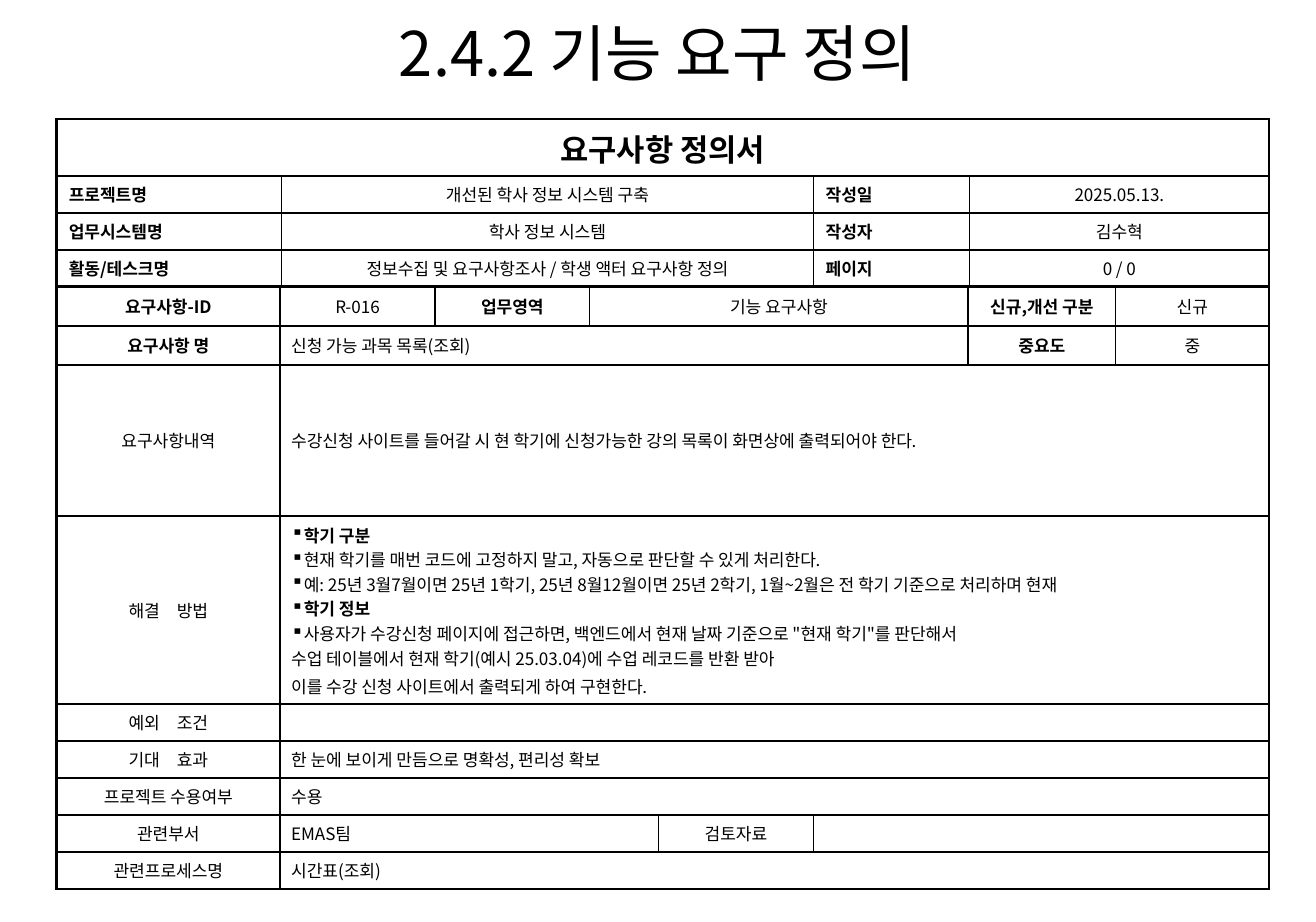
import dataclasses

import lxml.etree
import pptx
import pptx.dml.color
import pptx.enum.text
import pptx.oxml.ns
import pptx.util

Inches = pptx.util.Inches
Pt = pptx.util.Pt
qn = pptx.oxml.ns.qn
ALIGN = pptx.enum.text.PP_ALIGN
ANCHOR = pptx.enum.text.MSO_ANCHOR


@dataclasses.dataclass(frozen=True)
class Theme:
    font: str = "Noto Sans CJK KR"
    ink: str = "000000"
    title: int = 36
    heading: int = 18
    body: int = 10
    thin: float = 1
    thick: float = 1.5


THEME = Theme()
STYLES = {
    "heading": dict(align=ALIGN.CENTER, bold=True, size=THEME.heading),
    "label": dict(align=ALIGN.JUSTIFY, bold=True),
    "key": dict(align=ALIGN.CENTER, bold=True),
    "value": dict(align=ALIGN.CENTER),
    "text": dict(align=ALIGN.LEFT),
    "topic": dict(align=ALIGN.LEFT, bold=True, bullet="▪"),
    "point": dict(align=ALIGN.LEFT, bullet="▪"),
    "closing": dict(align=ALIGN.LEFT, before=2),
}


class FormSlide:
    def __init__(self, prs, theme):
        self.theme = theme
        self.s = prs.slides.add_slide(prs.slide_layouts[5])

    def fill_paragraph(self, p, text, align, bold=False, size=None, bullet=None, before=0):
        size = size or self.theme.body
        for name, value in dict(alignment=align, line_spacing=1.0,
                                space_before=Pt(before)).items():
            setattr(p, name, value)
        if bullet:
            pPr = p._p.get_or_add_pPr()
            pPr.set("marL", "0")
            pPr.set("indent", "0")
            lxml.etree.SubElement(pPr, qn("a:buChar"), char=bullet)
        if text:
            r = p.add_run()
            r.text = text
            for name, value in dict(name=self.theme.font, size=Pt(size), bold=bold).items():
                setattr(r.font, name, value)
            r.font.color.rgb = pptx.dml.color.RGBColor.from_string(self.theme.ink)
            lxml.etree.SubElement(r._r.get_or_add_rPr(), qn("a:ea"), typeface=self.theme.font)

    def title(self, text, left, top, width, height):
        sp = self.s.shapes.title
        for name, value in dict(left=left, top=top, width=width, height=height).items():
            setattr(sp, name, Inches(value))
        tf = sp.text_frame
        for name, value in dict(word_wrap=True, vertical_anchor=ANCHOR.TOP,
                                auto_size=pptx.enum.text.MSO_AUTO_SIZE.NONE).items():
            setattr(tf, name, value)
        self.fill_paragraph(tf.paragraphs[0], text, ALIGN.CENTER, size=self.theme.title)

    def border(self, cell, widths):
        """Draw the sides named in widths, such as {"L": 1}."""
        tcPr = cell._tc.get_or_add_tcPr()
        for side, width in widths.items():
            ln = lxml.etree.SubElement(tcPr, qn(f"a:ln{side}"), w=str(Pt(width)))
            fill = lxml.etree.SubElement(ln, qn("a:solidFill"))
            lxml.etree.SubElement(fill, qn("a:srgbClr"), val=self.theme.ink)

    def table(self, left, top, columns, heights, rows, rules, inset, anchors):
        """Add a form; rules holds the numbers of the thick horizontal lines."""
        frame = self.s.shapes.add_table(len(heights), len(columns), Inches(left), Inches(top),
                                        Inches(sum(columns)), Inches(sum(heights)))
        table = frame.table
        table.first_row = table.horz_banding = False
        for column, width in zip(table.columns, columns):
            column.width = Inches(width)
        for row, height in zip(table.rows, heights):
            row.height = Inches(height)

        def weight(is_thick):
            return self.theme.thick if is_thick else self.theme.thin

        for i, (row, anchor) in enumerate(zip(rows, anchors)):
            start = 0
            for span, *lines in row:
                end = start + span
                cell = table.cell(i, start)
                if span > 1:
                    cell.merge(table.cell(i, end - 1))
                for name, value in dict(vertical_anchor=anchor, margin_left=Inches(inset),
                                        margin_right=Inches(inset), margin_top=Inches(0.05),
                                        margin_bottom=Inches(0.05)).items():
                    setattr(cell, name, value)
                tf = cell.text_frame
                for n, (style, text) in enumerate(lines):
                    p = tf.add_paragraph() if n else tf.paragraphs[0]
                    self.fill_paragraph(p, text, **STYLES[style])
                for j in range(start, end):
                    part = table.cell(i, j)
                    sides = {}
                    if j == start:
                        sides["L"] = weight(start == 0)
                    if j in (start, end - 1):
                        sides["R"] = weight(end == len(columns))
                    sides["T"] = weight(i in rules)
                    sides["B"] = weight(i + 1 in rules)
                    self.border(part, sides)
                    part.fill.background()
                    if not part.text_frame.text:
                        lxml.etree.SubElement(part.text_frame.paragraphs[0]._p,
                                              qn("a:endParaRPr"), sz=str(self.theme.body * 100))
                start = end


PROJECT = [
    ("프로젝트명", "개선된 학사 정보 시스템 구축", "작성일", "2025.05.13."),
    ("업무시스템명", "학사 정보 시스템", "작성자", "김수혁"),
    ("활동/테스크명", "정보수집 및 요구사항조사 / 학생 액터 요구사항 정의", "페이지", "0 / 0"),
]
PROJECT_ROWS = [[(4, ("heading", "요구사항 정의서"))]] + [
    [(1, (style, text)) for style, text in zip(("label", "value") * 2, row)] for row in PROJECT
]
SOLUTION = [
    ("topic", "학기 구분"),
    ("point", "현재 학기를 매번 코드에 고정하지 말고, 자동으로 판단할 수 있게 처리한다."),
    ("point", "예: 25년 3월7월이면 25년 1학기, 25년 8월12월이면 25년 2학기, "
              "1월~2월은 전 학기 기준으로 처리하며 현재"),
    ("topic", "학기 정보"),
    ("point", "사용자가 수강신청 페이지에 접근하면, 백엔드에서 현재 날짜 기준으로 "
              "\"현재 학기\"를 판단해서"),
    ("text", "수업 테이블에서 현재 학기(예시 25.03.04)에 수업 레코드를 반환 받아"),
    ("closing", "이를 수강 신청 사이트에서 출력되게 하여 구현한다."),
]


def wide_row(name, *lines):
    return [(1, ("value", name)), (7, *lines)]


REQUIREMENT_ROWS = [
    [(1, ("key", "요구사항-ID")), (1, ("value", "R-016")), (1, ("key", "업무영역")),
     (3, ("value", "기능 요구사항")), (1, ("key", "신규,개선 구분")), (1, ("value", "신규"))],
    [(1, ("key", "요구사항 명")), (5, ("text", "신청 가능 과목 목록(조회)")),
     (1, ("key", "중요도")), (1, ("value", "중"))],
    wide_row("요구사항내역", ("text", "수강신청 사이트를 들어갈 시 현 학기에 신청가능한 "
                                "강의 목록이 화면상에 출력되어야 한다.")),
    wide_row("해결　방법", *SOLUTION),
    wide_row("예외　조건"),
    wide_row("기대　효과", ("text", "한 눈에 보이게 만듬으로 명확성, 편리성 확보")),
    wide_row("프로젝트 수용여부", ("text", "수용")),
    [(1, ("value", "관련부서")), (3, ("text", "EMAS팀")), (1, ("value", "검토자료")), (3,)],
    wide_row("관련프로세스명", ("text", "시간표(조회)")),
]


def main():
    prs = pptx.Presentation()
    prs.slide_width, prs.slide_height = Inches(10.71), Inches(7.5)
    form = FormSlide(prs, THEME)
    form.table(0.46, 2.33, [1.82, 1.26, 1.26, 0.56, 1.26, 1.26, 1.2, 1.25],
               [0.32, 0.32, 1.23, 1.42] + [0.25] * 5, REQUIREMENT_ROWS,
               rules={0, 1, 2, 9}, inset=0.09, anchors=[ANCHOR.MIDDLE] * 9)
    form.table(0.46, 0.97, [1.83, 4.33, 1.27, 2.44], [0.43] + [0.26] * 3, PROJECT_ROWS,
               rules={0, 4}, inset=0.1, anchors=[ANCHOR.MIDDLE] + [ANCHOR.TOP] * 3)
    form.title("2.4.2 기능 요구 정의", 1.79, 0.07, 7.12, 1.44)
    prs.save("out.pptx")


if __name__ == "__main__":
    main()
